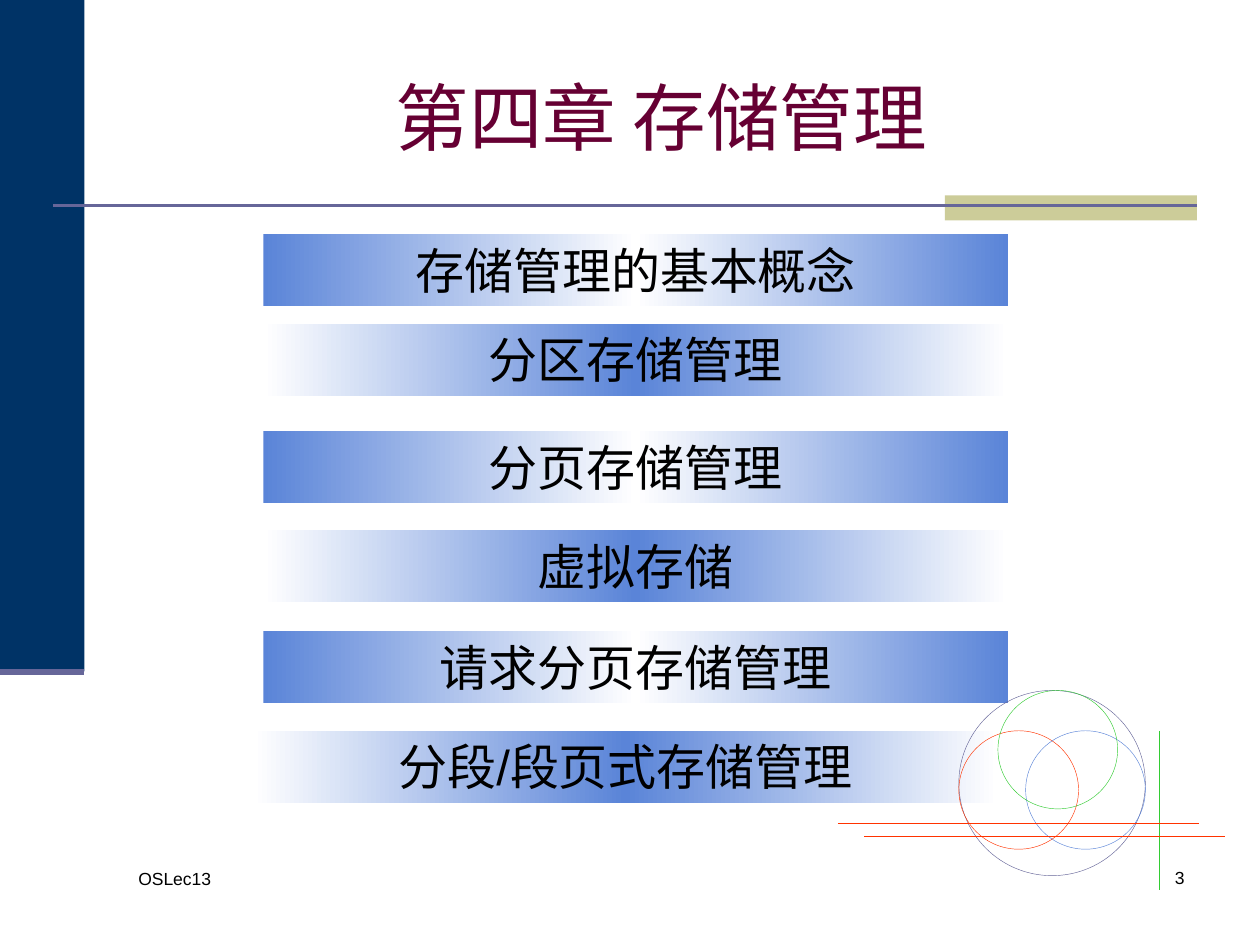
from lxml import etree
from pptx import Presentation
from pptx.dml.color import RGBColor
from pptx.enum.dml import MSO_LINE
from pptx.enum.shapes import MSO_CONNECTOR, MSO_SHAPE
from pptx.enum.text import MSO_ANCHOR, MSO_AUTO_SIZE, PP_ALIGN
from pptx.oxml.ns import qn
from pptx.util import Inches, Pt

RECT, OVAL = MSO_SHAPE.RECTANGLE, MSO_SHAPE.OVAL
STRAIGHT, DOTTED = MSO_CONNECTOR.STRAIGHT, MSO_LINE.ROUND_DOT
LEFT, CENTER, RIGHT = PP_ALIGN.LEFT, PP_ALIGN.CENTER, PP_ALIGN.RIGHT
TOP, MIDDLE = MSO_ANCHOR.TOP, MSO_ANCHOR.MIDDLE
FIT = MSO_AUTO_SIZE.SHAPE_TO_FIT_TEXT

NAVY = RGBColor(0x00, 0x33, 0x66)
KHAKI = RGBColor(0xCC, 0xCC, 0x99)
SLATE = RGBColor(0x66, 0x66, 0x99)
WINE = RGBColor(0x66, 0x00, 0x33)
BLUE = RGBColor(0x5A, 0x84, 0xD8)
GREEN = RGBColor(0x33, 0xCC, 0x33)
RED = RGBColor(0xFF, 0x33, 0x00)
WHITE = RGBColor(0xFF, 0xFF, 0xFF)
BLACK = RGBColor(0x00, 0x00, 0x00)

TOPICS = [
    ("存储管理的基本概念", 2.09, 1.86),
    ("分区存储管理", 2.09, 2.57),
    ("分页存储管理", 2.09, 3.42),
    ("虚拟存储", 2.09, 4.21),
    ("请求分页存储管理", 2.09, 5.01),
    ("分段/段页式存储管理", 2.01, 5.8),
]


def add_shape(s, kind, x, y, w, h, fill=None, line=None):
    """Add a preset shape with a solid fill or a hairline outline."""
    sp = s.shapes.add_shape(kind, Inches(x), Inches(y), Inches(w), Inches(h))
    sp.shadow.inherit = False
    if fill is None:
        sp.fill.background()
    else:
        sp.fill.solid()
        sp.fill.fore_color.rgb = fill
    if line is None:
        sp.line.fill.background()
    else:
        sp.line.color.rgb = line
        sp.line.width = Pt(0.25)
    return sp


def add_line(s, x1, y1, x2, y2, color, width=0.25, dash=None):
    """Add a straight line without a shadow."""
    ln = s.shapes.add_connector(STRAIGHT, Inches(x1), Inches(y1), Inches(x2), Inches(y2))
    ln.line.color.rgb = color
    ln.line.width = Pt(width)
    if dash is not None:
        ln.line.dash_style = dash
    etree.SubElement(ln._element.spPr, qn("a:effectLst"))


def write_text(sp, text, size, color=BLACK, align=LEFT, anchor=TOP):
    """Write one line of Arial text into a shape."""
    tf = sp.text_frame
    tf.word_wrap = True
    tf.vertical_anchor = anchor
    p = tf.paragraphs[0]
    p.alignment = align
    r = p.add_run()
    r.text = text
    r.font.name = "Arial"
    r.font.size = Pt(size)
    r.font.color.rgb = color


def add_text(s, x, y, w, h, *args):
    """Add a text box holding one line."""
    sp = s.shapes.add_textbox(Inches(x), Inches(y), Inches(w), Inches(h))
    write_text(sp, *args)


def mirror_gradient(sp, edge, middle):
    """Fill a shape from edge colour to middle colour and back."""
    sp.fill.gradient()
    sp.fill.gradient_angle = 0
    stops = sp.fill._xPr.find(qn("a:gradFill")).find(qn("a:gsLst"))
    for stop in list(stops):
        stops.remove(stop)
    for pos, color in ((0, edge), (50, middle), (100, edge)):
        stop = etree.SubElement(stops, qn("a:gs"), pos=str(pos * 1000))
        etree.SubElement(stop, qn("a:srgbClr"), val=str(color))


def add_frame(s, w, h):
    """Draw the side panel, the title rule and its accent."""
    add_shape(s, RECT, 0, 0, w, h, NAVY)
    add_shape(s, RECT, 7.5, 1.55, 2, 0.2, KHAKI)
    add_line(s, 0.42, 1.63, 9.5, 1.63, SLATE, 1.5)
    add_line(s, 0, h, w, h, SLATE, 3.5)


def add_topics(s, w, h):
    """Stack the topic bars with alternating gradients."""
    for i, (text, x, y) in enumerate(TOPICS):
        sp = add_shape(s, RECT, x, y, w, h, WHITE)
        mirror_gradient(sp, *((WHITE, BLUE) if i % 2 else (BLUE, WHITE)))
        write_text(sp, text, 28, BLACK, CENTER)
        sp.text_frame.auto_size = FIT


def add_emblem(s, x, y, w, h):
    """Draw three circles inside a larger one, with crossing lines."""
    small_w, small_h = 0.95, 0.94
    low = y + 0.32
    add_line(s, x + 1.59, low, x + 1.59, low + 1.26, GREEN)
    add_shape(s, OVAL, x, y, w, h, line=SLATE)
    for dx, top, color in ((0, low, RED), (w - small_w, low, BLUE), (0.31, y, GREEN)):
        add_shape(s, OVAL, x + dx, top, small_w, small_h, line=color)
    for dx, dy, dash in ((-0.96, 1.05, DOTTED), (-0.75, 1.16, None)):
        add_line(s, x + dx, y + dy, x + dx + 2.86, y + dy, RED, 0.25, dash)


def main():
    """Build and save the chapter outline slide."""
    prs = Presentation()
    prs.slide_width, prs.slide_height = Inches(10), Inches(7.5)
    s = prs.slides.add_slide(prs.slide_layouts[6])
    add_frame(s, 0.67, 5.33)
    add_text(s, 1, 6.84, 2.17, 0.5, "OSLec13", 10)
    add_text(s, 7.42, 6.83, 2.08, 0.5, "3", 10, BLACK, RIGHT)
    add_text(s, 1, 0.3, 8.5, 1.25, "第四章 存储管理", 42, WINE, CENTER, MIDDLE)
    add_topics(s, 5.91, 0.57)
    add_emblem(s, 7.61, 5.48, 1.48, 1.47)
    prs.save("out.pptx")


if __name__ == "__main__":
    main()
